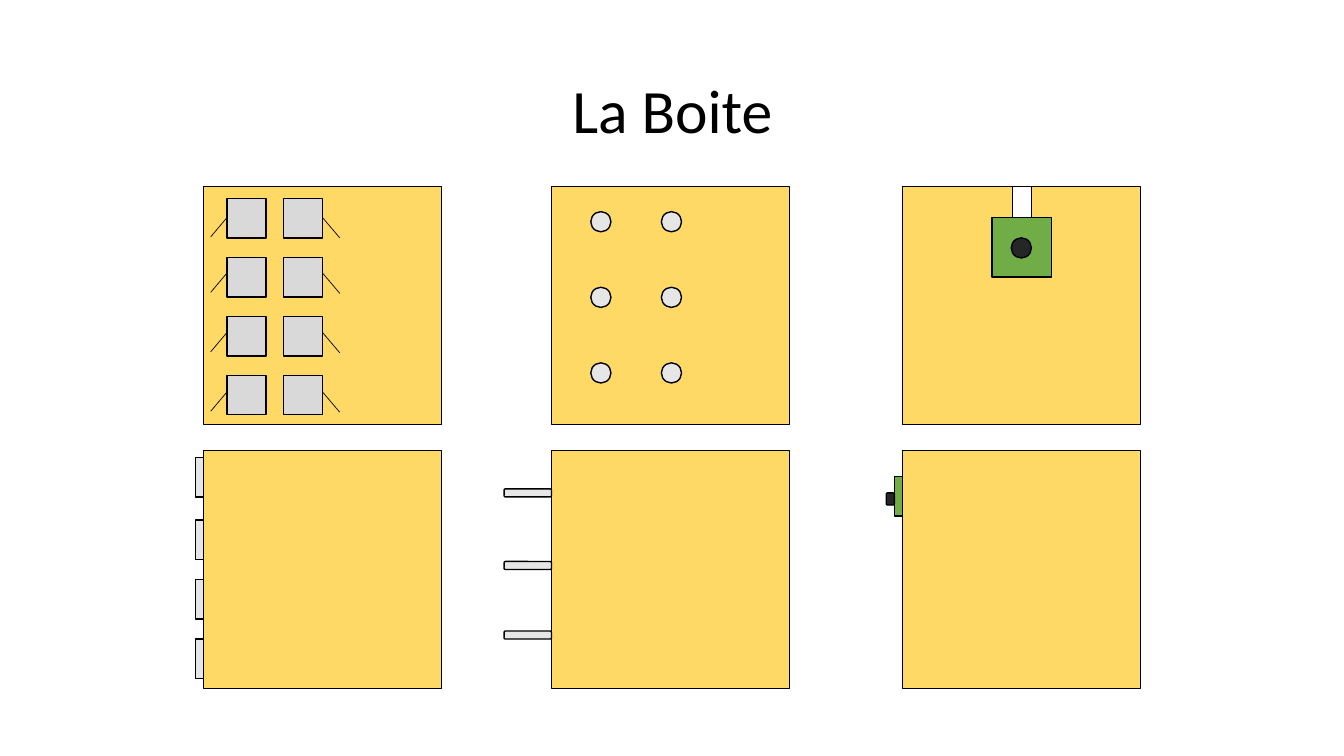
from dataclasses import dataclass
from lxml import etree
from pptx import Presentation
from pptx import util as u
from pptx.dml.color import RGBColor
from pptx.enum import shapes, text
from pptx.oxml.ns import qn

RECT = shapes.MSO_SHAPE.RECTANGLE
ROUND = shapes.MSO_SHAPE.ROUNDED_RECTANGLE
OVAL = shapes.MSO_SHAPE.OVAL


@dataclass(frozen=True)
class Theme:
    font: str = "Calibri"
    title: int = 44
    edge: float = 1
    wire: float = 0.5
    ink: str = "000000"
    box: str = "FFD966"
    key: str = "D9D9D9"
    pale: str = "E7E6E6"
    board: str = "70AD47"
    knob: str = "262626"
    slot: str = "FFFFFF"


class Sketch:
    def __init__(self, slide, theme):
        self.slide = slide
        self.theme = theme

    def stroke(self, line, width):
        line.color.rgb = RGBColor.from_string(self.theme.ink)
        line.width = u.Pt(width)

    def shape(self, kind, fill, x, y, w, h):
        item = self.slide.shapes.add_shape(kind, *map(u.Inches, (x, y, w, h)))
        item.shadow.inherit = False
        item.fill.solid()
        item.fill.fore_color.rgb = RGBColor.from_string(fill)
        self.stroke(item.line, self.theme.edge)

    def wire(self, x, y, dx, dy):
        ends = map(u.Inches, (x, y, x + dx, y + dy))
        item = self.slide.shapes.add_connector(shapes.MSO_CONNECTOR.STRAIGHT, *ends)
        self.stroke(item.line, self.theme.wire)
        etree.SubElement(item._element.spPr, qn("a:effectLst"))

    def title(self, words, x, y, w, h):
        frame = self.slide.shapes.add_textbox(*map(u.Inches, (x, y, w, h))).text_frame
        frame.word_wrap = True
        frame.vertical_anchor = text.MSO_ANCHOR.MIDDLE
        para = frame.paragraphs[0]
        para.alignment = text.PP_ALIGN.CENTER
        para.line_spacing = 0.9
        run = para.add_run()
        run.text = words
        run.font.name = self.theme.font
        run.font.size = u.Pt(self.theme.title)
        run.font.color.rgb = RGBColor.from_string(self.theme.ink)

    def boxes(self, x):
        """Draw the front view above the side view."""
        for y in (1.85, 4.47):
            self.shape(RECT, self.theme.box, x, y, 2.36, 2.36)


def draw_keys(art, left):
    look = art.theme
    art.boxes(left)
    for row in range(4):
        for x in (2.25, 2.81):
            art.shape(RECT, look.key, x, 1.97 + row * 0.585, 0.39, 0.39)
    for y in (2.16, 2.71, 3.3, 3.89):
        art.wire(2.25, y, -0.16, 0.19)
        art.wire(3.2, y, 0.17, 0.2)
    for y in (4.54, 5.16, 5.75, 6.34):
        art.shape(RECT, look.pale, left - 0.08, y, 0.08, 0.39)


def draw_pegs(art, left):
    look = art.theme
    art.boxes(left)
    for row in range(3):
        for x in (5.86, 6.56):
            art.shape(OVAL, look.pale, x, 2.1 + row * 0.75, 0.2, 0.2)
    for y in (4.85, 5.57, 6.26):
        art.shape(ROUND, look.pale, left - 0.47, y, 0.47, 0.08)


def draw_knob(art, left):
    look = art.theme
    art.boxes(left)
    art.shape(RECT, look.board, 9.84, 2.16, 0.59, 0.59)
    art.shape(OVAL, look.knob, 10.03, 2.36, 0.2, 0.2)
    art.shape(RECT, look.slot, 10.04, 1.85, 0.19, 0.31)
    art.shape(RECT, look.board, left - 0.08, 4.73, 0.08, 0.39)
    art.shape(ROUND, look.knob, left - 0.16, 4.89, 0.08, 0.12)


def main():
    deck = Presentation()
    deck.slide_width = u.Inches(13.33)
    deck.slide_height = u.Inches(7.5)
    art = Sketch(deck.slides.add_slide(deck.slide_layouts[6]), Theme())
    art.title("La Boite", 0.92, 0.4, 11.5, 1.45)
    draw_keys(art, 2.02)
    draw_pegs(art, 5.47)
    draw_knob(art, 8.95)
    deck.save("out.pptx")


if __name__ == "__main__":
    main()
